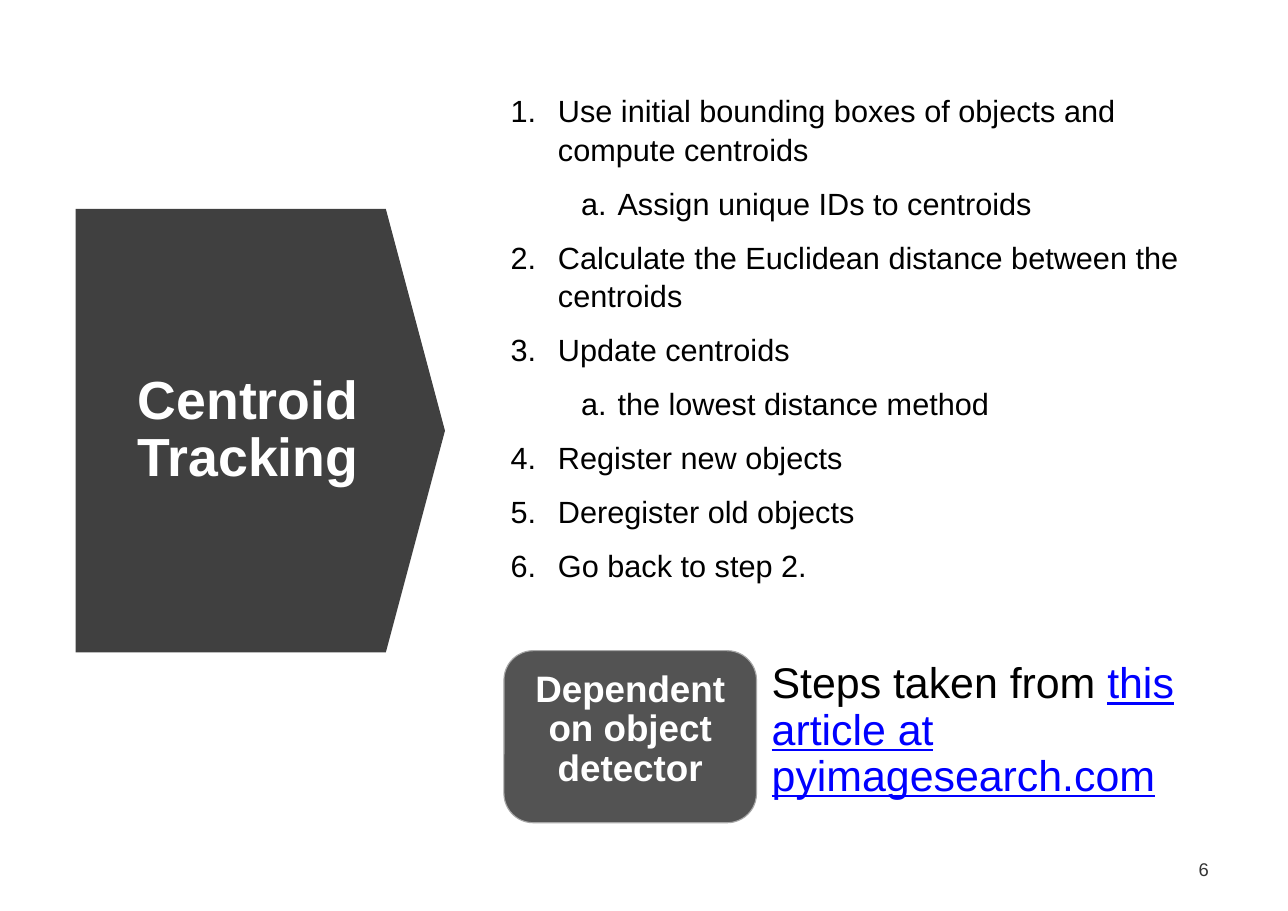
from dataclasses import dataclass

from lxml import etree
from pptx import Presentation
from pptx.dml.color import RGBColor
from pptx.enum.shapes import MSO_SHAPE
from pptx.enum.text import MSO_ANCHOR, PP_ALIGN
from pptx.oxml.ns import qn
from pptx.util import Inches, Pt

ARROW = MSO_SHAPE.DOWN_ARROW
ROUNDED = MSO_SHAPE.ROUNDED_RECTANGLE
LEFT, CENTER, RIGHT = PP_ALIGN.LEFT, PP_ALIGN.CENTER, PP_ALIGN.RIGHT
TOP, MIDDLE = MSO_ANCHOR.TOP, MSO_ANCHOR.MIDDLE
BLACK, WHITE, LINK_BLUE = "000000", "FFFFFF", "0000FF"


@dataclass(frozen=True)
class Box:
    left: float
    top: float
    width: float
    height: float

    def lengths(self):
        return [Inches(v) for v in (self.left, self.top, self.width, self.height)]


@dataclass(frozen=True)
class Numbering:
    scheme: str
    margin: float
    hanging: float


@dataclass(frozen=True)
class Step:
    text: str
    level: int = 0


NUMBERINGS = [
    Numbering("arabicPeriod", 0.43, 0.43),
    Numbering("alphaLcPeriod", 0.97, 0.33),
]
STEPS = [
    Step("Use initial bounding boxes of objects and compute centroids"),
    Step("Assign unique IDs to centroids", 1),
    Step("Calculate the Euclidean distance between the centroids"),
    Step("Update centroids"),
    Step("the lowest distance method", 1),
    Step("Register new objects"),
    Step("Deregister old objects"),
    Step("Go back to step 2."),
]


def rgb(value: str) -> RGBColor:
    return RGBColor.from_string(value)


def set_frame(frame, inset_x=0.1, inset_y=0.05, anchor=TOP) -> None:
    frame.word_wrap = True
    frame.vertical_anchor = anchor
    frame.margin_left = frame.margin_right = Inches(inset_x)
    frame.margin_top = frame.margin_bottom = Inches(inset_y)


def add_text_frame(slide, box: Box, **layout):
    frame = slide.shapes.add_textbox(*box.lengths()).text_frame
    set_frame(frame, **layout)
    return frame


def add_filled_shape(slide, kind, box: Box, fill: str, adjustments, line=None):
    shape = slide.shapes.add_shape(kind, *box.lengths())
    shape.shadow.inherit = False
    shape.fill.solid()
    shape.fill.fore_color.rgb = rgb(fill)
    for index, value in enumerate(adjustments):
        shape.adjustments[index] = value
    if line:
        shape.line.color.rgb = rgb(line)
        shape.line.width = Pt(0.75)
    else:
        shape.line.fill.background()
    return shape


def write(paragraph, text: str, size=20, color=BLACK, bold=False, underline=False,
          align=LEFT, spacing=0.9, before=0, after=6) -> None:
    paragraph.alignment = align
    paragraph.line_spacing = spacing
    paragraph.space_before = Pt(before)
    paragraph.space_after = Pt(after)
    run = paragraph.add_run()
    run.text = text
    font = run.font
    font.name = "Arial"
    font.size = Pt(size)
    font.bold = bold
    font.underline = underline
    font.color.rgb = rgb(color)


def number(paragraph, level: int) -> None:
    style = NUMBERINGS[level]
    paragraph.level = level
    properties = paragraph._p.get_or_add_pPr()
    properties.set("marL", str(Inches(style.margin)))
    properties.set("indent", str(-Inches(style.hanging)))
    bullet_color = etree.SubElement(properties, qn("a:buClr"))
    etree.SubElement(bullet_color, qn("a:srgbClr"), val=BLACK)
    etree.SubElement(properties, qn("a:buFont"), typeface="Arial")
    etree.SubElement(properties, qn("a:buAutoNum"), type=style.scheme)


def add_steps(slide, box: Box) -> None:
    frame = add_text_frame(slide, box, inset_x=0.06, inset_y=0.06)
    for index, step in enumerate(STEPS):
        paragraph = frame.add_paragraph() if index else frame.paragraphs[0]
        number(paragraph, step.level)
        write(paragraph, step.text, spacing=1.05, before=10 if index else 0, after=0)


def main() -> None:
    deck = Presentation()
    deck.slide_width, deck.slide_height = Inches(11.68), Inches(8.26)
    slide = deck.slides.add_slide(deck.slide_layouts[6])

    arrow = add_filled_shape(slide, ARROW, Box(0.35, 2.23, 4.02, 3.35), "404040", [1, 0.16])
    arrow.rotation = 270
    title = add_text_frame(slide, Box(0.99, 2.37, 2.52, 3.07), anchor=MIDDLE)
    write(title.paragraphs[0], "Centroid Tracking", size=35, color=WHITE, bold=True,
          align=CENTER)

    caveat = add_filled_shape(slide, ROUNDED, Box(4.57, 5.9, 2.29, 1.56), "535353",
                              [0.17], line="A7A7A7").text_frame
    set_frame(caveat, inset_y=0.1)
    write(caveat.paragraphs[0], "Dependent on object detector", size=24, color=WHITE,
          bold=True, align=CENTER)

    credit = add_text_frame(slide, Box(6.9, 5.9, 4.14, 1.56), inset_y=0.1).paragraphs[0]
    write(credit, "Steps taken from ", size=28)
    write(credit, "this article at pyimagesearch.com", size=28, color=LINK_BLUE,
          underline=True)

    add_steps(slide, Box(4.57, 0.76, 6.49, 5.07))

    page = add_text_frame(slide, Box(10.57, 7.66, 0.49, 0.44), anchor=MIDDLE)
    write(page.paragraphs[0], "6", size=12, color="333333", align=RIGHT, spacing=1.0)

    deck.save("out.pptx")


if __name__ == "__main__":
    main()
